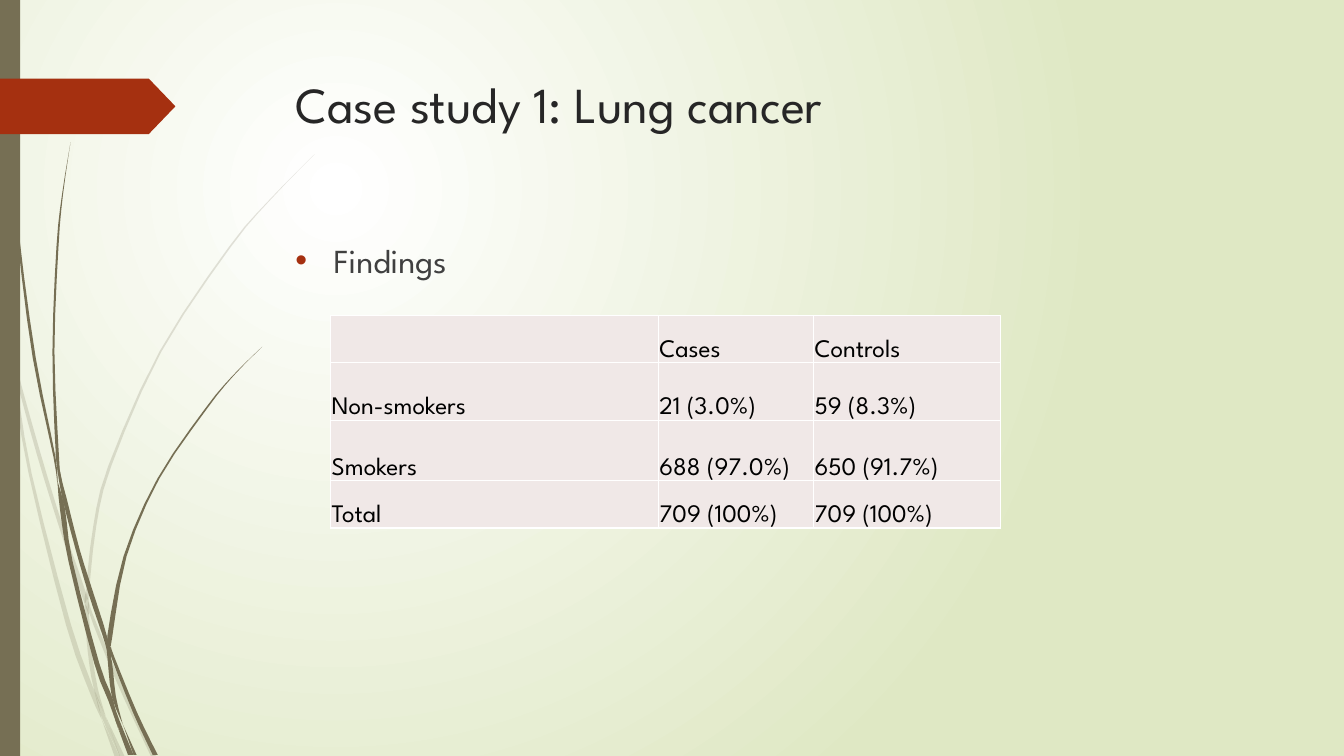
import pptx
import pptx.dml.color
import pptx.enum.shapes
import pptx.enum.text
import pptx.oxml
import pptx.oxml.ns
import pptx.util
from lxml import etree

# Content
TITLE = "Case study 1: Lung cancer"
BULLET = "Findings"
FINDINGS = [
    ("", "Cases", "Controls"),
    ("Non-smokers", "21 (3.0%)", "59 (8.3%)"),
    ("Smokers", "688 (97.0%)", "650 (91.7%)"),
    ("Total", "709 (100%)", "709 (100%)"),
]
COLUMN_WIDTHS = (3.25, 1.54, 1.85)
ROW_HEIGHTS = (0.47, 0.57, 0.6, 0.47)

# Style
FONT = "League Spartan"
OLIVE, RUST, WHITE, LIME = "766F54", "A53010", "FFFFFF", "DFE8C4"
TITLE_INK, BODY_INK, TABLE_INK, CELL_FILL = "262626", "404040", "000000", "F0E8E7"
WIDTH, HEIGHT = 13.33, 7.5
TEXT_LEFT, TEXT_WIDTH = 2.83, 9.75

# Grass blades: (centre x, y, blade width) from tip to root, in inches
PALE_BLADES = [
    [(0, 2.82, 0), (0.04, 3.1, 0.05), (0.11, 3.5, 0)],
    [(0.14, 3.45, 0), (0.16, 3.68, 0.03), (0.38, 4.49, 0.04), (0.6, 5.21, 0.04),
     (0.82, 5.86, 0.05), (0.84, 5.99, 0)],
    [(0.88, 5.96, 0), (0.9, 6.08, 0.03), (1.07, 6.51, 0.04), (1.25, 6.93, 0.04),
     (1.52, 7.5, 0.05)],
    [(1.05, 7.11, 0), (1.21, 7.5, 0.05)],
    [(0.11, 3.5, 0), (0.15, 3.8, 0.03), (0.3, 4.7, 0.03), (0.68, 6.2, 0.05),
     (0.92, 6.88, 0.05), (1.01, 7.14, 0)],
    [(0.84, 5.99, 0), (0.86, 6.08, 0.04), (0.89, 6.46, 0.04), (0.95, 6.83, 0.04),
     (1.05, 7.11, 0)],
    [(3.12, 1.53, 0), (2.68, 1.98, 0.01), (2.28, 2.45, 0.02), (1.59, 3.49, 0.02),
     (1.09, 4.62, 0.03), (0.94, 5.22, 0.03), (0.87, 5.85, 0.03), (0.88, 5.96, 0)],
    [(1.01, 7.14, 0), (1.16, 7.5, 0.05)],
    [(0.85, 5.86, 0), (0.86, 5.98, 0.04), (0.88, 6.1, 0)],
    [(0.93, 6.83, 0), (1.03, 7.12, 0.04), (1.19, 7.5, 0)],
]
DARK_BLADES = [
    [(0.04, 0, 0.01), (0.08, 1.1, 0.02), (0.18, 2.33, 0.02), (0.34, 3.55, 0.03),
     (0.54, 4.53, 0.02), (0.57, 4.81, 0)],
    [(0.6, 4.72, 0), (0.64, 4.94, 0.04), (0.77, 5.45, 0.04), (0.91, 5.91, 0.05),
     (1.04, 6.31, 0.04), (1.06, 6.45, 0)],
    [(1.1, 6.41, 0), (1.12, 6.52, 0.03), (1.34, 7.07, 0.04), (1.54, 7.49, 0.05)],
    [(0.57, 4.77, 0), (0.62, 5.05, 0.05), (0.7, 5.57, 0.04), (0.96, 6.58, 0.05),
     (1.1, 6.95, 0.05), (1.17, 7.22, 0)],
    [(0.7, 1.41, 0), (0.62, 1.93, 0.01), (0.57, 2.45, 0.02), (0.53, 3.49, 0.02),
     (0.57, 4.53, 0.03), (0.6, 4.72, 0)],
    [(1.22, 7.19, 0), (1.34, 7.49, 0.03)],
    [(0.55, 4.49, 0), (0.6, 4.77, 0.03), (0.64, 5.05, 0)],
    [(2.6, 3.44, 0), (2.31, 3.73, 0.01), (2.04, 4.06, 0.02), (1.57, 4.75, 0.02),
     (1.24, 5.52, 0.03), (1.09, 6.31, 0.05), (1.1, 6.41, 0)],
    [(1.17, 7.22, 0), (1.29, 7.49, 0.04)],
    [(1.06, 6.45, 0), (1.09, 6.56, 0.04), (1.13, 6.91, 0.04), (1.22, 7.19, 0)],
    [(1.06, 6.31, 0), (1.08, 6.45, 0.04), (1.1, 6.56, 0)],
    [(1.1, 6.91, 0), (1.17, 7.16, 0.04), (1.31, 7.49, 0.03)],
]
STEPS = 3


def color(value):
    return pptx.dml.color.RGBColor.from_string(value)


def inches(*lengths):
    return [pptx.util.Inches(length) for length in lengths]


def xml(text):
    return pptx.oxml.parse_xml(text.replace(">", " " + pptx.oxml.ns.nsdecls("a") + ">", 1))


def paint(shape, value):
    shape.fill.solid()
    shape.fill.fore_color.rgb = color(value)
    shape.line.fill.background()
    shape.shadow.inherit = False


def style(paragraph, size, ink):
    paragraph.font.name = FONT
    paragraph.font.size = pptx.util.Pt(size)
    paragraph.font.color.rgb = color(ink)


def smooth(points):
    """Catmull-Rom curve through the points."""
    ends = [points[0], *points, points[-1]]
    curve = []
    for a, b, c, d in zip(ends, ends[1:], ends[2:], ends[3:]):
        for step in range(STEPS):
            t = step / STEPS
            curve.append(tuple(
                q + t / 2 * (r - p + t * (2 * p - 5 * q + 4 * r - s + t * (3 * (q - r) + s - p)))
                for p, q, r, s in zip(a, b, c, d)))
    return curve + [points[-1]]


def add_blade(slide, points, opacity):
    curve = smooth(points)
    left = [inches(x - w / 2, y) for x, y, w in curve]
    right = [inches(x + w / 2, y) for x, y, w in curve]
    builder = slide.shapes.build_freeform(*left[0])
    builder.add_line_segments(left[1:] + right[::-1], close=True)
    blade = builder.convert_to_shape()
    paint(blade, OLIVE)
    if opacity < 100:
        tone = blade.element.spPr.find(".//" + pptx.oxml.ns.qn("a:srgbClr"))
        etree.SubElement(tone, pptx.oxml.ns.qn("a:alpha"), val=str(opacity * 1000))


def add_text(slide, text, top, height, size, ink):
    frame = slide.shapes.add_textbox(*inches(TEXT_LEFT, top, TEXT_WIDTH, height)).text_frame
    frame.word_wrap = True
    paragraph = frame.paragraphs[0]
    paragraph.text = text
    style(paragraph, size, ink)
    return paragraph


def add_background(slide):
    fill = slide.background.fill
    fill.gradient()
    for stop, value in zip(fill.gradient_stops, (WHITE, LIME)):
        stop.color.rgb = color(value)
    gradient = slide.element.find(".//" + pptx.oxml.ns.qn("a:gradFill"))
    gradient.replace(gradient.find(pptx.oxml.ns.qn("a:lin")), xml(
        '<a:path path="circle"><a:fillToRect l="50000" t="50000" r="100000" b="100000"/></a:path>'))


def add_findings(slide):
    size = (sum(COLUMN_WIDTHS), sum(ROW_HEIGHTS))
    table = slide.shapes.add_table(
        len(FINDINGS), len(COLUMN_WIDTHS), *inches(3.28, 3.13, *size)).table
    for column, width in zip(table.columns, COLUMN_WIDTHS):
        column.width = pptx.util.Inches(width)
    for row, height, texts in zip(table.rows, ROW_HEIGHTS, FINDINGS):
        row.height = pptx.util.Inches(height)
        for cell, text in zip(row.cells, texts):
            cell.text = text
            paragraph = cell.text_frame.paragraphs[0]
            style(paragraph, 18, TABLE_INK)
            paragraph.font.bold = False
            cell.vertical_anchor = pptx.enum.text.MSO_ANCHOR.BOTTOM
            cell.margin_left = cell.margin_right = cell.margin_top = pptx.util.Inches(0.01)
            cell.margin_bottom = 0
            cell.fill.solid()
            cell.fill.fore_color.rgb = color(CELL_FILL)
            properties = cell._tc.get_or_add_tcPr()
            for index, side in enumerate("LRTB"):
                properties.insert(index, xml(
                    f'<a:ln{side} w="12700"><a:solidFill><a:srgbClr val="{WHITE}"/>'
                    f'</a:solidFill></a:ln{side}>'))


def main():
    deck = pptx.Presentation()
    deck.slide_width, deck.slide_height = inches(WIDTH, HEIGHT)
    slide = deck.slides.add_slide(deck.slide_layouts[6])
    add_background(slide)

    # Grass, side bar and flag
    for blades, opacity in ((PALE_BLADES, 20), (DARK_BLADES, 100)):
        for points in blades:
            add_blade(slide, points, opacity)
    presets = pptx.enum.shapes.MSO_SHAPE
    bar = slide.shapes.add_shape(presets.RECTANGLE, *inches(0, 0, 0.2, HEIGHT))
    paint(bar, OLIVE)
    flag = slide.shapes.add_shape(presets.PENTAGON, *inches(0, 0.78, 1.74, 0.55))
    flag.adjustments[0] = 0.48
    paint(flag, RUST)

    # Title and bullet
    add_text(slide, TITLE, 0.68, 1.4, 36, TITLE_INK)
    finding = add_text(slide, BULLET, 2.33, 4.13, 24, BODY_INK)
    finding.space_before = pptx.util.Pt(10)
    indent = finding._p.get_or_add_pPr()
    margin = pptx.util.Inches(0.38)
    indent.set("marL", str(margin))
    indent.set("indent", str(-margin))
    bullet_parts = (f'<a:buClr><a:srgbClr val="{RUST}"/></a:buClr>',
                    '<a:buFont typeface="Arial"></a:buFont>', '<a:buChar char="•"></a:buChar>')
    spacing = indent.find(pptx.oxml.ns.qn("a:spcBef"))
    for part in reversed(bullet_parts):
        spacing.addnext(xml(part))

    add_findings(slide)
    deck.save("out.pptx")


if __name__ == "__main__":
    main()
